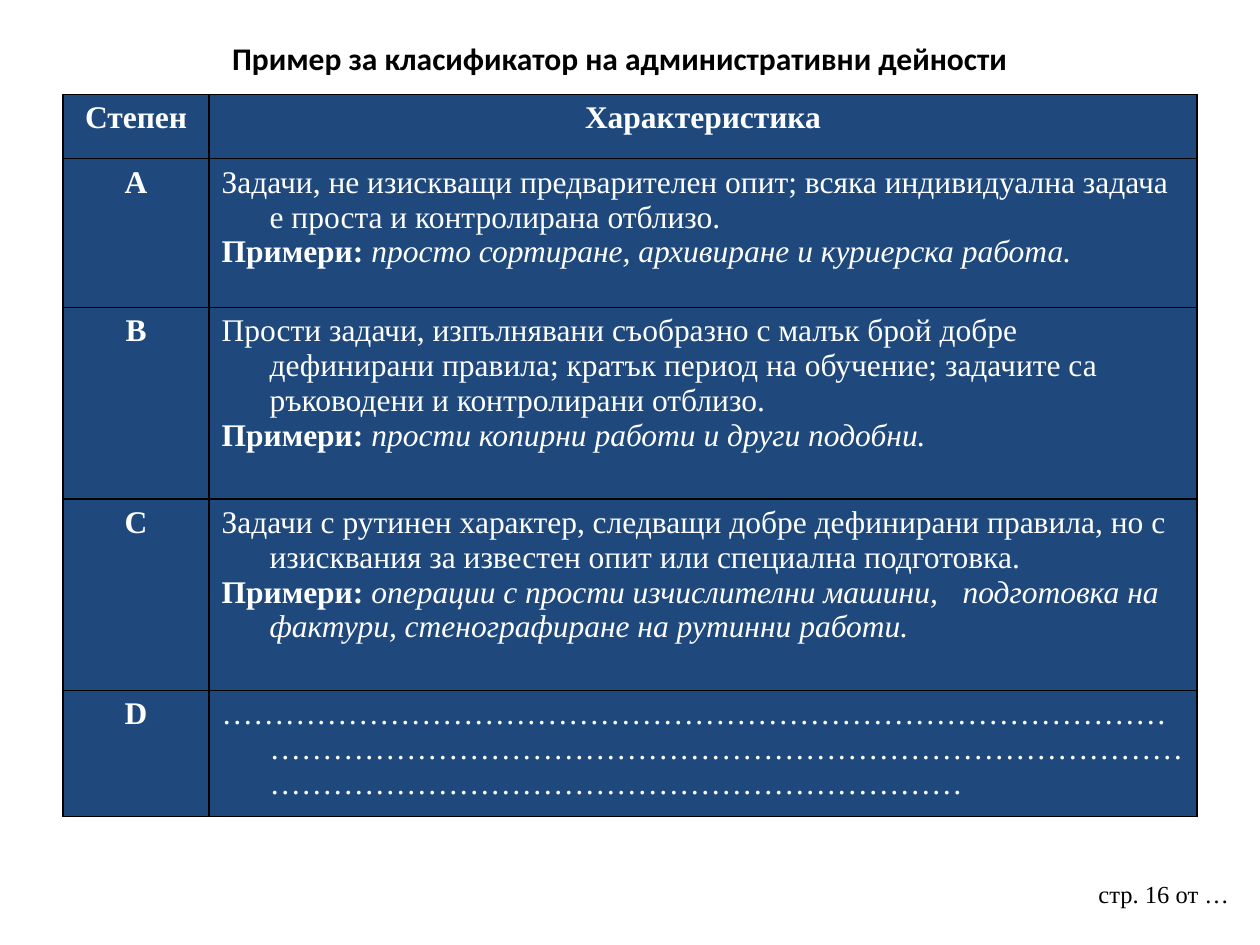
from lxml import etree
from pptx import Presentation
from pptx import util as u
from pptx.dml import color
from pptx.enum import text
from pptx.oxml import ns

# Content: each cell is a list of paragraphs, each paragraph a list of (words, style)
TITLE = "Пример за класификатор на административни дейности"
PAGE_LABEL = "стр. 16 от …"
HEADER = ("Степен", "Характеристика")
GRADES = [
    ("А", "Задачи, не изискващи предварителен опит; всяка индивидуална задача "
          "е проста и контролирана отблизо.",
     "просто сортиране, архивиране и куриерска работа."),
    ("В", "Прости задачи, изпълнявани съобразно с малък брой добре дефинирани "
          "правила; кратък период на обучение; задачите са ръководени и "
          "контролирани отблизо.",
     "прости копирни работи и други подобни."),
    ("С", "Задачи с рутинен характер, следващи добре дефинирани правила, но с "
          "изисквания за известен опит или специална подготовка.",
     "операции с прости изчислителни машини, \tподготовка на фактури, "
     "стенографиране на рутинни работи."),
    ("D", "…" * 81, None),
]
EXAMPLES = "Примери: "

THEME = {
    "title": {"name": "Calibri", "size": 18, "color": "000000", "bold": True},
    "label": {"name": "Times New Roman", "size": 14, "color": "000000"},
    "plain": {"name": "Times New Roman", "size": 18, "color": "FFFFFF"},
    "fill": "1F497D",
    "border": ("000000", 1),
}
THEME["strong"] = {**THEME["plain"], "bold": True}
THEME["example"] = {**THEME["plain"], "italic": True}

# Layout in inches
PAGE = (10, 7.5)
TITLE_AREA = (0.42, 0.25, 9, 0.42)
LABEL_AREA = (8.62, 6.93, 1.3, 0.52)
TABLE_LEFT, TABLE_TOP = 0.5, 0.75
COLUMNS = (1.16, 7.84)
ROWS = (0.51, 1.18, 1.52, 1.52, 0.51)
HANGING = 0.38
CENTER = text.PP_ALIGN.CENTER


def add_span(para, words, style):
    span = para.add_run()
    span.text = words
    for key, value in THEME[style].items():
        if key == "color":
            span.font.color.rgb = color.RGBColor.from_string(value)
        else:
            setattr(span.font, key, u.Pt(value) if key == "size" else value)


def add_text(page, area, words, style, **frame_format):
    box = page.shapes.add_textbox(*map(u.Inches, area))
    for key, value in {"word_wrap": True, **frame_format}.items():
        setattr(box.text_frame, key, value)
    para = box.text_frame.paragraphs[0]
    add_span(para, words, style)
    return para


def add_borders(cell):
    ink, width = THEME["border"]
    properties = cell._tc.get_or_add_tcPr()
    for index, side in enumerate(("lnL", "lnR", "lnT", "lnB")):
        line = etree.Element(ns.qn(f"a:{side}"), w=str(u.Pt(width)))
        solid = etree.SubElement(line, ns.qn("a:solidFill"))
        etree.SubElement(solid, ns.qn("a:srgbClr"), val=ink)
        properties.insert(index, line)


def fill_cell(cell, paragraphs, alignment=None):
    cell.fill.solid()
    cell.fill.fore_color.rgb = color.RGBColor.from_string(THEME["fill"])
    add_borders(cell)
    frame = cell.text_frame
    for index, spans in enumerate(paragraphs):
        para = frame.add_paragraph() if index else frame.paragraphs[0]
        para.alignment = alignment
        properties = para._p.get_or_add_pPr()
        properties.set("marL", str(u.Inches(HANGING)))
        properties.set("indent", str(-u.Inches(HANGING)))
        for words, style in spans:
            add_span(para, words, style)


def add_grades(page):
    frame = page.shapes.add_table(
        len(ROWS), len(COLUMNS),
        *map(u.Inches, (TABLE_LEFT, TABLE_TOP, sum(COLUMNS), sum(ROWS))))
    table = frame.table
    for column, width in zip(table.columns, COLUMNS):
        column.width = u.Inches(width)
    for row, height in zip(table.rows, ROWS):
        row.height = u.Inches(height)

    for index, words in enumerate(HEADER):
        fill_cell(table.cell(0, index), [[(words, "strong")]], CENTER)
    for row, (grade, description, examples) in enumerate(GRADES, 1):
        fill_cell(table.cell(row, 0), [[(grade, "strong")]], CENTER)
        paragraphs = [[(description, "plain")]]
        if examples:
            paragraphs.append([(EXAMPLES, "strong"), (examples, "example")])
        fill_cell(table.cell(row, 1), paragraphs)


def main():
    deck = Presentation()
    deck.slide_width, deck.slide_height = map(u.Inches, PAGE)
    page = deck.slides.add_slide(deck.slide_layouts[6])

    # Page label, title and table of grades
    add_text(page, LABEL_AREA, PAGE_LABEL, "label")
    title = add_text(page, TITLE_AREA, TITLE, "title",
                     vertical_anchor=text.MSO_ANCHOR.MIDDLE)
    title.alignment = CENTER
    add_grades(page)
    deck.save("out.pptx")


if __name__ == "__main__":
    main()
